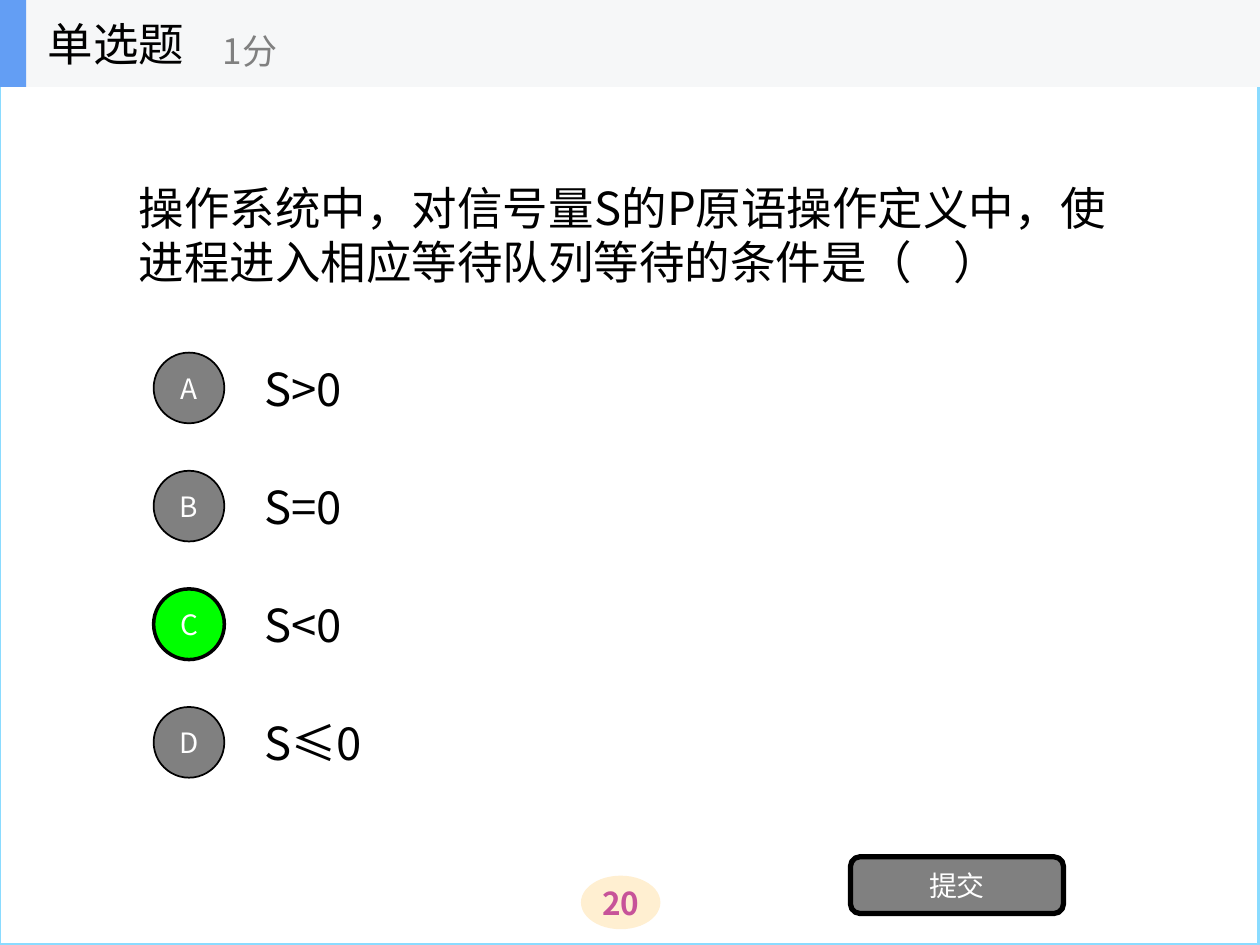
from lxml import etree
from pptx import Presentation
from pptx.dml.color import RGBColor
from pptx.enum.shapes import MSO_SHAPE
from pptx.enum.text import MSO_ANCHOR, MSO_AUTO_SIZE, PP_ALIGN
from pptx.oxml.ns import qn
from pptx.util import Pt

RECT, ROUNDED, OVAL = MSO_SHAPE.RECTANGLE, MSO_SHAPE.ROUNDED_RECTANGLE, MSO_SHAPE.OVAL
LEFT, CENTER = PP_ALIGN.LEFT, PP_ALIGN.CENTER
MIDDLE, NO_AUTOSIZE = MSO_ANCHOR.MIDDLE, MSO_AUTO_SIZE.NONE
FONT = "Noto Sans CJK SC"
BLACK, WHITE, GREY, GREEN = "000000", "FFFFFF", "808080", "00FF00"

QUESTION = "操作系统中，对信号量S的P原语操作定义中，使进程进入相应等待队列等待的条件是（    ）"
OPTIONS = [("A", "S>0"), ("B", "S=0"), ("C", "S<0"), ("D", "S≤0")]
ANSWER = "C"
OPTION_TOP, OPTION_STEP, OPTION_HEIGHT, CIRCLE = 196.5, 67.5, 50.4, 40.4


def rgb(color):
    return RGBColor.from_string(color)


def write(s, text, size, color, align=LEFT, bold=False):
    tf = s.text_frame
    tf.text = text
    tf.word_wrap = True
    tf.auto_size = NO_AUTOSIZE
    tf.vertical_anchor = MIDDLE
    p = tf.paragraphs[0]
    p.alignment = align
    r = p.runs[0]
    r.font.name = FONT
    r.font.size = Pt(size)
    r.font.bold = bold
    r.font.color.rgb = rgb(color)
    etree.SubElement(r.font._element, qn("a:ea")).set("typeface", FONT)


def add_title(s, text, box):
    sp = s.shapes.title
    sp.left, sp.top, sp.width, sp.height = map(Pt, box)
    write(sp, text, 26, BLACK)


def add_label(shapes, text, box, size, color=BLACK):
    write(shapes.add_textbox(*map(Pt, box)), text, size, color)


def add_shape(shapes, kind, box, fill=None, line=None, width=1):
    sp = shapes.add_shape(kind, *map(Pt, box))
    sp.shadow.inherit = False
    if fill:
        sp.fill.solid()
        sp.fill.fore_color.rgb = rgb(fill)
    else:
        sp.fill.background()
    if line:
        sp.line.color.rgb = rgb(line)
        sp.line.width = Pt(width)
    else:
        sp.line.fill.background()
    return sp


def add_page_number(shapes):
    sp = add_shape(shapes, OVAL, (332, 500.4, 45.4, 30.6), "FFEFD1")
    write(sp, "20", 18, "C75399", CENTER, True)
    tf = sp.text_frame
    tf.margin_left = tf.margin_right = tf.margin_top = tf.margin_bottom = 0


def add_option(shapes, index, letter, text):
    top = OPTION_TOP + index * OPTION_STEP
    add_label(shapes, text, (144, top, 504, OPTION_HEIGHT), 26)
    fill, width = (GREEN, 2) if letter == ANSWER else (GREY, 1)
    circle_top = top + (OPTION_HEIGHT - CIRCLE) / 2
    sp = add_shape(shapes, OVAL, (87.8, circle_top, CIRCLE, CIRCLE), fill, BLACK, width)
    write(sp, letter, 16, WHITE, CENTER)


def add_header(shapes):
    group = shapes.add_group_shape().shapes
    add_shape(group, RECT, (0, 0, 720, 49.7), "F6F7F8")
    add_shape(group, RECT, (0, 0, 15, 49.7), "639EF4")
    add_label(group, "单选题", (20.2, 0, 150, 49.7), 26)
    add_label(group, "1分", (120.2, 8.6, 180, 40.3), 20, GREY)


def main():
    prs = Presentation()
    prs.slide_width, prs.slide_height = Pt(720), Pt(540)
    s = prs.slides.add_slide(prs.slide_layouts[5])
    add_title(s, QUESTION, (72, 49.7, 576, 168.5))
    add_page_number(s.shapes)
    add_shape(s.shapes, RECT, (-0.7, 0, 720, 540), line="8ADBFF", width=2.25)
    for i, (letter, text) in enumerate(OPTIONS):
        add_option(s.shapes, i, letter, text)
    button = add_shape(s.shapes, ROUNDED, (486, 489.6, 121.7, 32.4), GREY, BLACK, 3)
    write(button, "提交", 16, WHITE, CENTER)
    add_header(s.shapes)
    prs.save("out.pptx")


if __name__ == "__main__":
    main()
